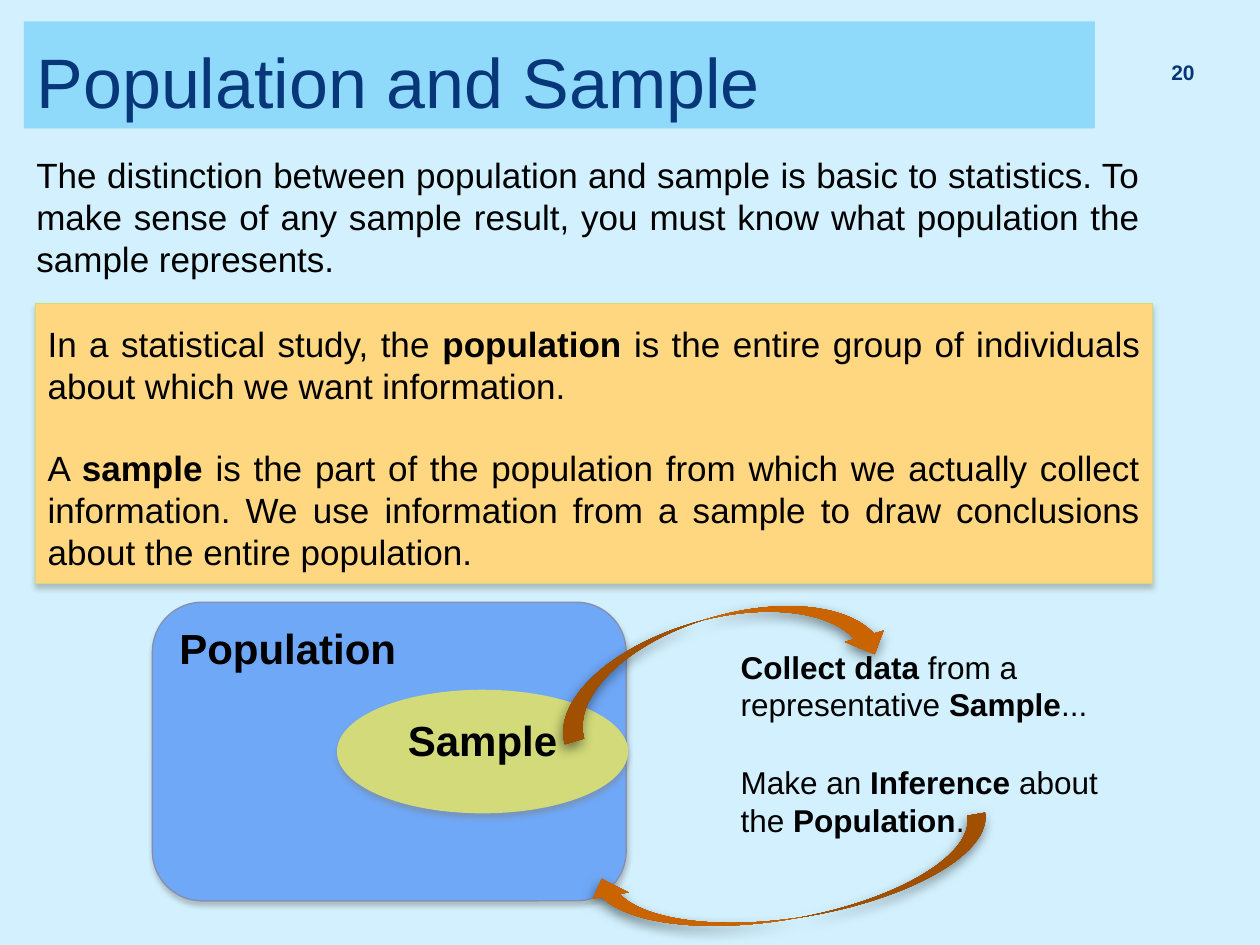
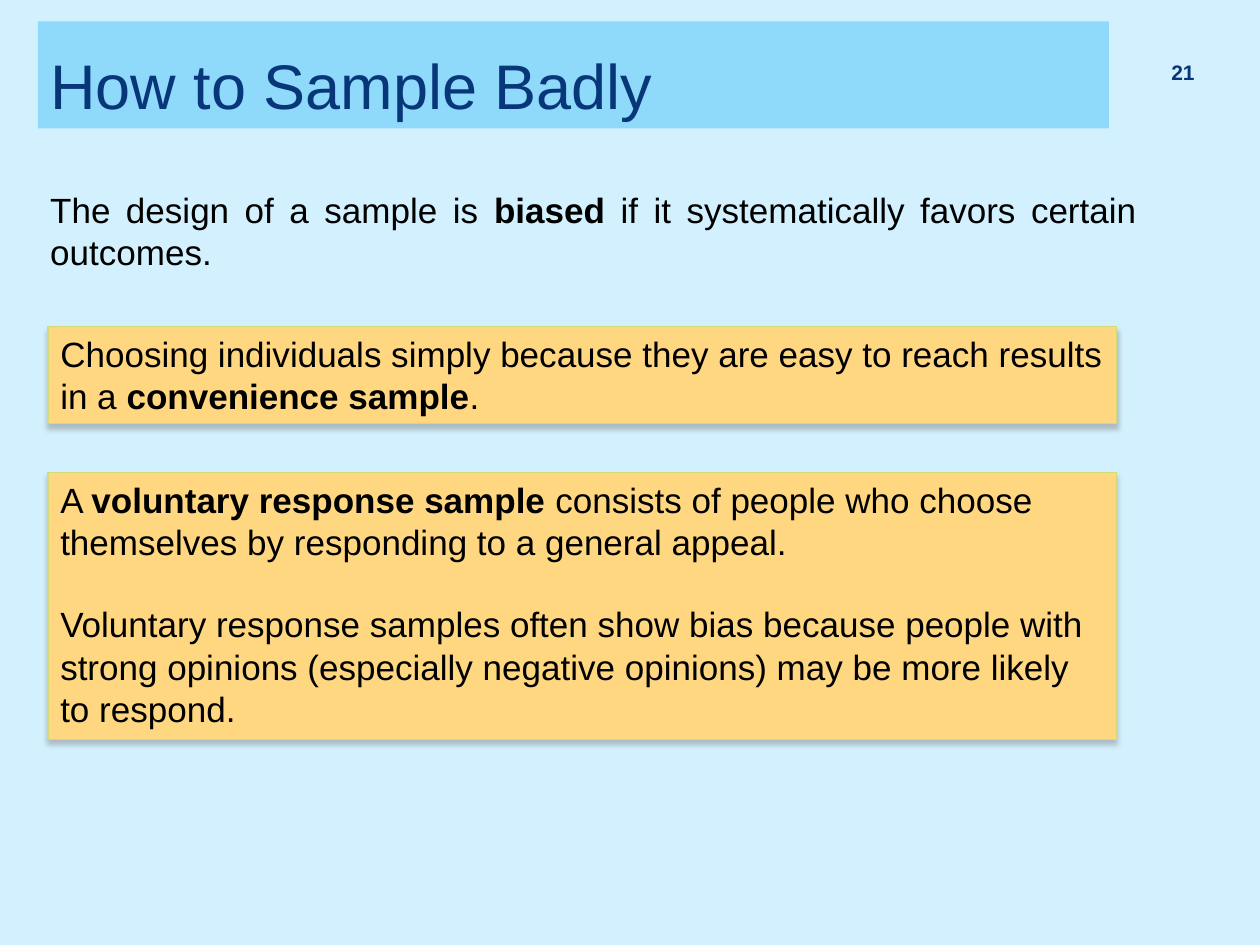
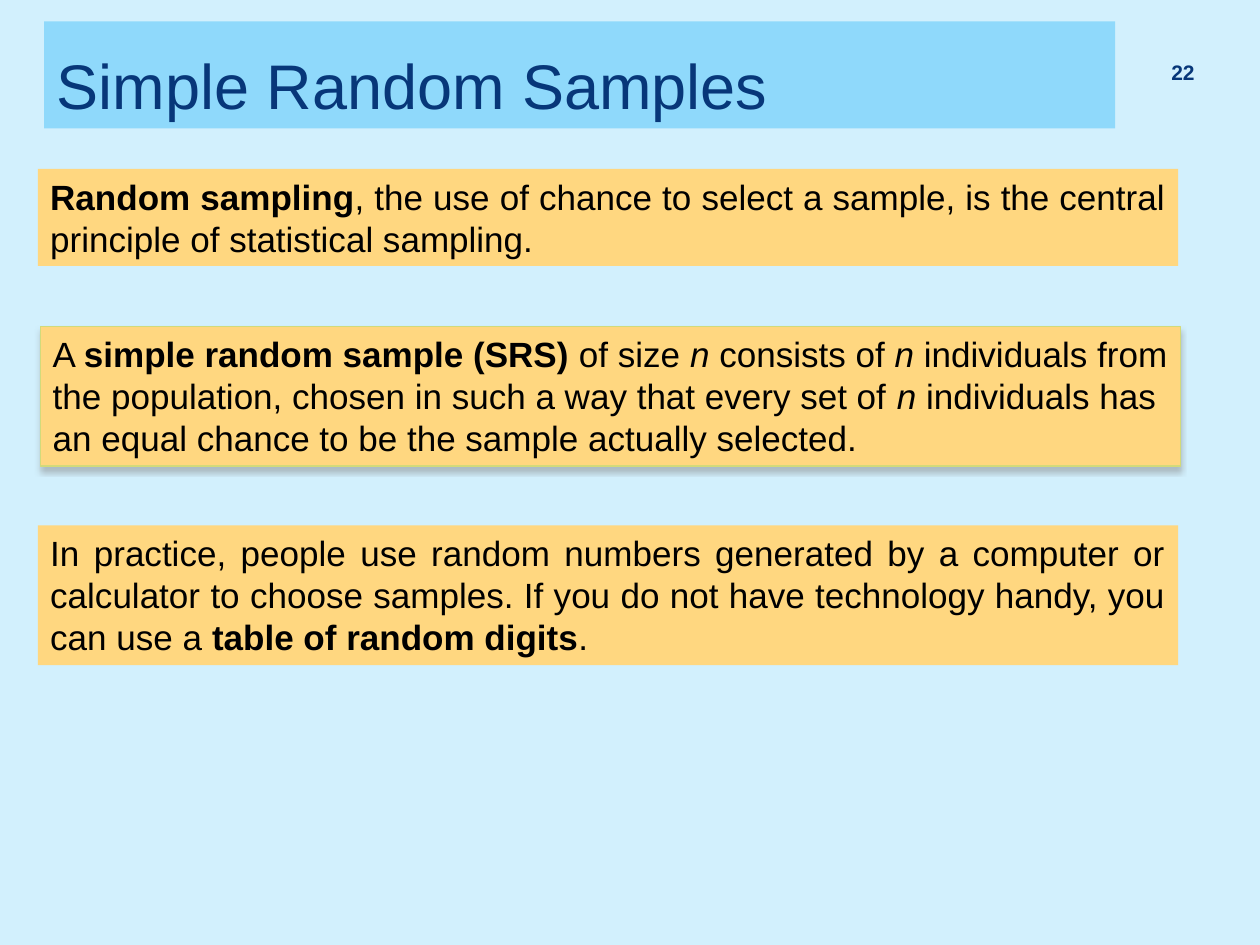
import pptx
import pptx.util
import pptx.dml.color
import pptx.enum.shapes
import pptx.enum.text
import lxml.etree

Inches = pptx.util.Inches
Pt = pptx.util.Pt
PRESET = pptx.enum.shapes.MSO_SHAPE
ALIGN = pptx.enum.text.PP_ALIGN
ANCHOR = pptx.enum.text.MSO_ANCHOR

FONT = "Arial"
COLORS = {
    "background": "D2F0FD", "band": "8FD9FB", "navy": "073779", "text": "000000",
    "panel": "FFD780", "olive": "D2DA7A", "population": "6FA8F7", "population_line": "8590B1",
    "arrow_dark": "AC5600", "arrow": "C96400", "soft_shadow": "808080", "dark_shadow": "000000",
}
SLIDE_SIZE = (10, 7.5)
BAND_TOP, BAND_SIZE = 0.17, (8.5, 0.85)
NUMBER_BOX = (9.03, 0.39, 0.55, 0.4)
FIRST_NUMBER = 20
PARAGRAPH_GAP = 23
SOFT_SHADOW = dict(color="soft_shadow", alpha=45, blur=3, distance=2.4, angle=90)
DARK_SHADOW = dict(color="dark_shadow", alpha=50, blur=7, distance=3, angle=110)

STYLES = {
    "plain": {},
    "flat": dict(preset=PRESET.RECTANGLE, fill="panel"),
    "raised": dict(preset=PRESET.RECTANGLE, fill="panel", line="olive"),
    "population": dict(preset=PRESET.ROUNDED_RECTANGLE, fill="population", line="population_line"),
    "sample": dict(preset=PRESET.OVAL, fill="olive", line="olive"),
}

SLIDES = [
    dict(title="Population and Sample", title_size=40, left=0.19, blocks=[
        dict(style="plain", at=(0.19, 1.17, 8.96, 1.08), align=ALIGN.JUSTIFY, text=[
            "The distinction between population and sample is basic to statistics. To make sense of "
            "any sample result, you must know what population the sample represents."]),
        dict(style="raised", at=(0.28, 2.41, 8.87, 2.22), align=ALIGN.JUSTIFY, inset=0.15, text=[
            "In a statistical study, the *population *is the entire group of individuals about which "
            "we want information.",
            "A *sample *is the part of the population from which we actually collect information. "
            "We use information from a sample to draw conclusions about the entire population."]),
        dict(style="population", at=(1.21, 4.78, 3.76, 2.37), size=24, text=["*Population*"]),
        dict(style="sample", at=(2.68, 5.48, 2.3, 0.97), size=24, align=ALIGN.CENTER,
             text=["*Sample*"]),
        dict(arrow_angle=343.8, at=(4.34, 4.9, 2.72, 0.64)),
        dict(style="plain", at=(5.78, 5.09, 3.38, 0.71), size=18, text=[
            "*Collect data *from a representative *Sample*..."]),
        dict(style="plain", at=(5.78, 6.01, 3.2, 0.71), size=18, text=[
            "Make an *Inference *about the *Population*."]),
        dict(arrow_angle=170.2, at=(4.66, 6.72, 3.23, 0.57)),
    ]),
    dict(title="How to Sample Badly", title_size=36, left=0.3, blocks=[
        dict(style="plain", at=(0.3, 1.45, 8.82, 0.77), align=ALIGN.JUSTIFY, text=[
            "The design of a sample is *biased* if it systematically favors certain outcomes."]),
        dict(style="raised", at=(0.38, 2.59, 8.48, 0.77), text=[
            "Choosing individuals simply because they are easy to reach results in a "
            "*convenience sample*."]),
        dict(style="raised", at=(0.38, 3.75, 8.48, 2.12), text=[
            "A *voluntary response sample *consists of people who choose themselves by responding "
            "to a general appeal.",
            "Voluntary response samples often show bias because people with strong opinions "
            "(especially negative opinions) may be more likely to respond."]),
    ]),
    dict(title="Simple Random Samples", title_size=36, left=0.35, blocks=[
        dict(style="flat", at=(0.3, 1.34, 9.05, 0.77), align=ALIGN.JUSTIFY, text=[
            "*Random sampling*, the use of chance to select a sample, is the central principle of "
            "statistical sampling."]),
        dict(style="raised", at=(0.32, 2.59, 9.05, 1.11), text=[
            "A *simple random sample (SRS) *of size _n _consists of _n_ individuals from the "
            "population, chosen in such a way that every set of _n _individuals has an equal chance "
            "to be the sample actually selected."]),
        dict(style="flat", at=(0.3, 4.17, 9.05, 1.11), align=ALIGN.JUSTIFY, text=[
            "In practice, people use random numbers generated by a computer or calculator to choose "
            "samples. If you do not have technology handy, you can use a *table of random digits*."]),
    ]),
]


def rgb(name):
    return pptx.dml.color.RGBColor.from_string(COLORS[name])


def paint(fill, name):
    fill.solid()
    fill.fore_color.rgb = rgb(name)


def add_shadow(shape, color, alpha, blur, distance, angle):
    namespace = "{http://schemas.openxmlformats.org/drawingml/2006/main}"
    effects = shape._element.spPr.find(namespace + "effectLst")
    shadow = lxml.etree.SubElement(
        effects, namespace + "outerShdw", blurRad=str(Pt(blur)), dist=str(Pt(distance)),
        dir=str(angle * 60000), rotWithShape="0")
    shade = lxml.etree.SubElement(shadow, namespace + "srgbClr", val=COLORS[color])
    lxml.etree.SubElement(shade, namespace + "alpha", val=str(alpha * 1000))


def format_font(paragraph, size, color="text"):
    paragraph.font.name = FONT
    paragraph.font.size = Pt(size)
    paragraph.font.color.rgb = rgb(color)


def add_runs(paragraph, marked_text):
    for bold, chunk in enumerate(marked_text.split("*")):
        for italic, words in enumerate(chunk.split("_")):
            if words:
                run = paragraph.add_run()
                run.text = words
                run.font.bold = bool(bold % 2)
                run.font.italic = bool(italic % 2)


def write_text(shape, text, size=20, align=ALIGN.LEFT, anchor=ANCHOR.TOP, inset=0.05, color="text"):
    frame = shape.text_frame
    frame.word_wrap = True
    frame.auto_size = pptx.enum.text.MSO_AUTO_SIZE.NONE
    frame.vertical_anchor = anchor
    frame.margin_top = Inches(inset)
    for index, marked_text in enumerate(text):
        paragraph = frame.add_paragraph() if index else frame.paragraphs[0]
        paragraph.alignment = align
        paragraph.space_before = Pt(PARAGRAPH_GAP if index else 0)
        format_font(paragraph, size, color)
        add_runs(paragraph, marked_text)


def add_block(slide, style, at, **text_options):
    look = STYLES[style]
    box = [Inches(length) for length in at]
    if look:
        shape = slide.shapes.add_shape(look["preset"], *box)
        shape.shadow.inherit = False
        paint(shape.fill, look["fill"])
        if "line" in look:
            shape.line.color.rgb = rgb(look["line"])
            shape.line.width = Pt(0.79)
            add_shadow(shape, **SOFT_SHADOW)
        else:
            shape.line.fill.background()
    else:
        shape = slide.shapes.add_textbox(*box)
    write_text(shape, **text_options)
    return shape


def add_arrow(slide, arrow_angle, at):
    arrow = slide.shapes.add_shape(PRESET.CURVED_DOWN_ARROW, *[Inches(length) for length in at])
    arrow.rotation = arrow_angle
    arrow.line.fill.background()
    arrow.fill.gradient()
    arrow.fill.gradient_angle = 90
    for stop, color, position in zip(arrow.fill.gradient_stops, ("arrow_dark", "arrow"), (0, 0.35)):
        stop.color.rgb = rgb(color)
        stop.position = position
    arrow.shadow.inherit = False
    add_shadow(arrow, **DARK_SHADOW)


def add_title(slide, title, title_size, left):
    band = slide.shapes.title
    band.left, band.top = Inches(left), Inches(BAND_TOP)
    band.width, band.height = [Inches(length) for length in BAND_SIZE]
    paint(band.fill, "band")
    write_text(band, [title], title_size, anchor=ANCHOR.BOTTOM, color="navy")


def add_number(slide, number):
    box = add_block(slide, "plain", NUMBER_BOX, text=[f"*{number}*"], size=12,
                    align=ALIGN.RIGHT, anchor=ANCHOR.MIDDLE, color="navy")
    box.text_frame.paragraphs[0].line_spacing = 0.8


def main():
    presentation = pptx.Presentation()
    presentation.slide_width, presentation.slide_height = [Inches(length) for length in SLIDE_SIZE]
    paint(presentation.slide_master.background.fill, "background")
    for number, content in enumerate(SLIDES, FIRST_NUMBER):
        slide = presentation.slides.add_slide(presentation.slide_layouts[5])
        add_title(slide, content["title"], content["title_size"], content["left"])
        add_number(slide, number)
        for block in content["blocks"]:
            add_part = add_arrow if "arrow_angle" in block else add_block
            add_part(slide, **block)
    presentation.save("out.pptx")


if __name__ == "__main__":
    main()
